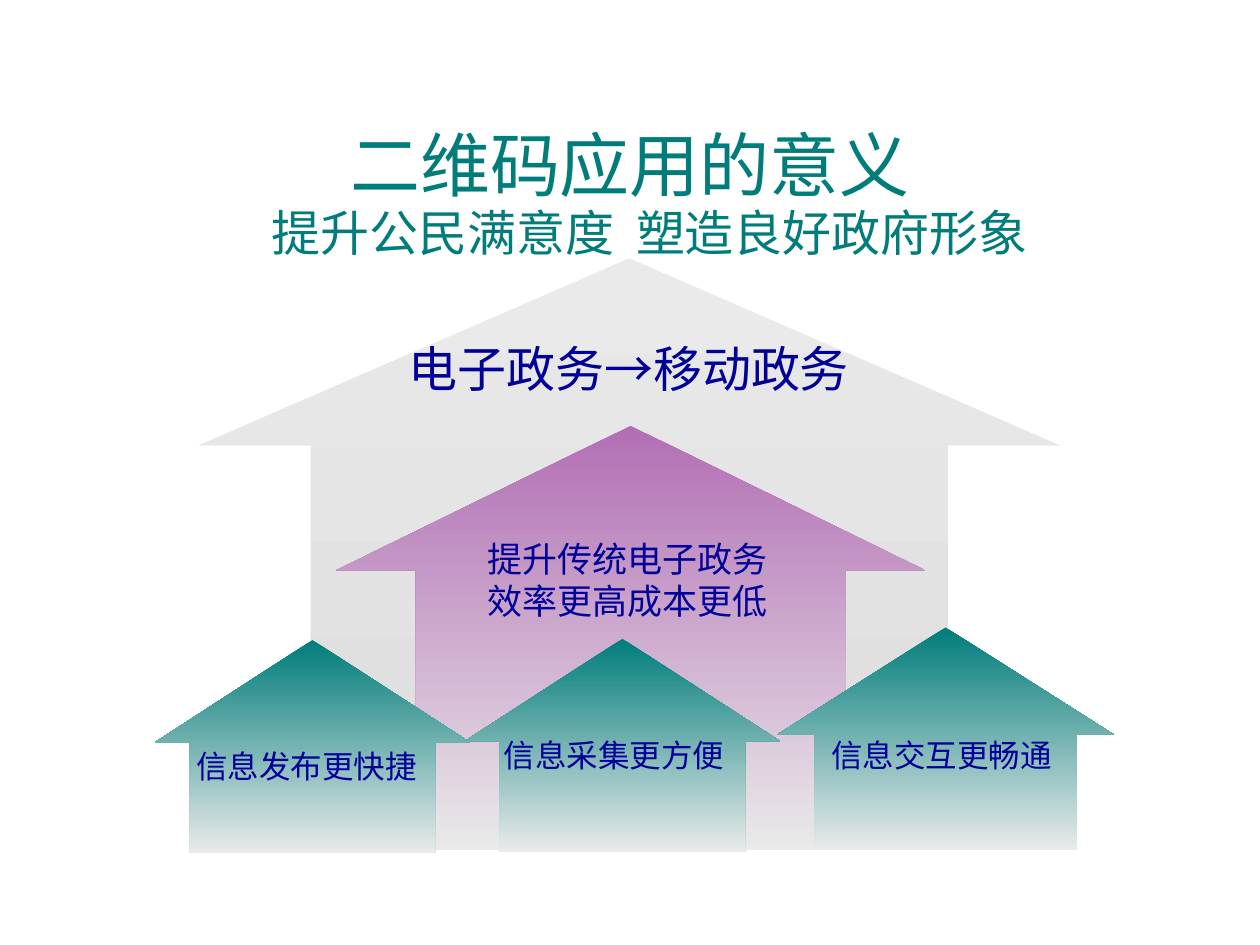
"""Build a slide of nested up arrows on the value of 2D codes."""
from pptx import Presentation
from pptx.dml.color import RGBColor
from pptx.enum.shapes import MSO_SHAPE
from pptx.enum.text import MSO_ANCHOR, MSO_AUTO_SIZE, PP_ALIGN
from pptx.util import Inches, Pt

UP = MSO_SHAPE.UP_ARROW
LEFT, CENTER = PP_ALIGN.LEFT, PP_ALIGN.CENTER
TOP, MIDDLE = MSO_ANCHOR.TOP, MSO_ANCHOR.MIDDLE
GROW, FIXED = MSO_AUTO_SIZE.SHAPE_TO_FIT_TEXT, MSO_AUTO_SIZE.NONE
TEAL = RGBColor(0x00, 0x7D, 0x7A)
NAVY = RGBColor(0x00, 0x00, 0x99)
PURPLE = RGBColor(0xB2, 0x6E, 0xB4)
PALE = RGBColor(0xEA, 0xEA, 0xEA)
GRAY = RGBColor(0xDD, 0xDD, 0xDD)

SMALL = (0.78, 0.48)
ARROWS = [
    ((1.58, 2.05, 6.83, 4.5), (0.74, 0.33), (PALE, GRAY)),
    ((2.67, 3.38, 4.67, 3.37), (0.73, 0.34), (PURPLE, PALE)),
    ((6.17, 4.98, 2.67, 1.77), SMALL, (TEAL, PALE)),
    ((3.69, 5.07, 2.5, 1.69), SMALL, (TEAL, PALE)),
    ((1.23, 5.08, 2.5, 1.69), SMALL, (TEAL, PALE)),
]
TITLE = ("二维码应用的意义", (0.33, 0.67, 9.34, 1.25))
MOTTO = ("提升公民满意度  塑造良好政府形象", (1.85, 1.56, 6.61, 0.57))
SHIFT = ("电子政务→移动政务", (3.12, 2.64, 3.74, 0.57))
GAIN = ("提升传统电子政务\n效率更高成本更低", (3.75, 4.22, 2.46, 0.77))
BASES = [
    ("信息发布更快捷", (1.46, 5.88, 1.95, 0.4)),
    ("信息采集更方便", (3.9, 5.79, 1.95, 0.4)),
    ("信息交互更畅通", (6.5, 5.79, 1.95, 0.4)),
]


def add_arrow(slide, box, shape, colors):
    arrow = slide.shapes.add_shape(UP, *map(Inches, box))
    arrow.shadow.inherit = False
    arrow.line.fill.background()
    for index, value in enumerate(shape):
        arrow.adjustments[index] = value
    arrow.fill.gradient()
    arrow.fill.gradient_angle = 270
    for stop, color in zip(arrow.fill.gradient_stops, colors):
        stop.color.rgb = color


def add_text(slide, text, box, size=18, color=NAVY, font="Arial",
             align=CENTER, anchor=TOP, wrap=False, fit=GROW):
    frame = slide.shapes.add_textbox(*map(Inches, box)).text_frame
    frame.word_wrap = wrap
    frame.auto_size = fit
    frame.vertical_anchor = anchor
    frame.text = text
    for para in frame.paragraphs:
        para.alignment = align
        para.font.size = Pt(size)
        para.font.name = font
        para.font.color.rgb = color


def main():
    deck = Presentation()
    deck.slide_width, deck.slide_height = Inches(10), Inches(7.5)
    slide = deck.slides.add_slide(deck.slide_layouts[6])
    for arrow in ARROWS:
        add_arrow(slide, *arrow)
    add_text(slide, *TITLE, size=40, color=TEAL, anchor=MIDDLE, wrap=True,
             fit=FIXED)
    add_text(slide, *MOTTO, size=28, color=TEAL, font="Noto Sans CJK SC",
             wrap=True)
    add_text(slide, *SHIFT, size=28, font="Calibri")
    add_text(slide, *GAIN, size=20)
    for base in BASES:
        add_text(slide, *base, align=LEFT)
    deck.save("out.pptx")


if __name__ == "__main__":
    main()
